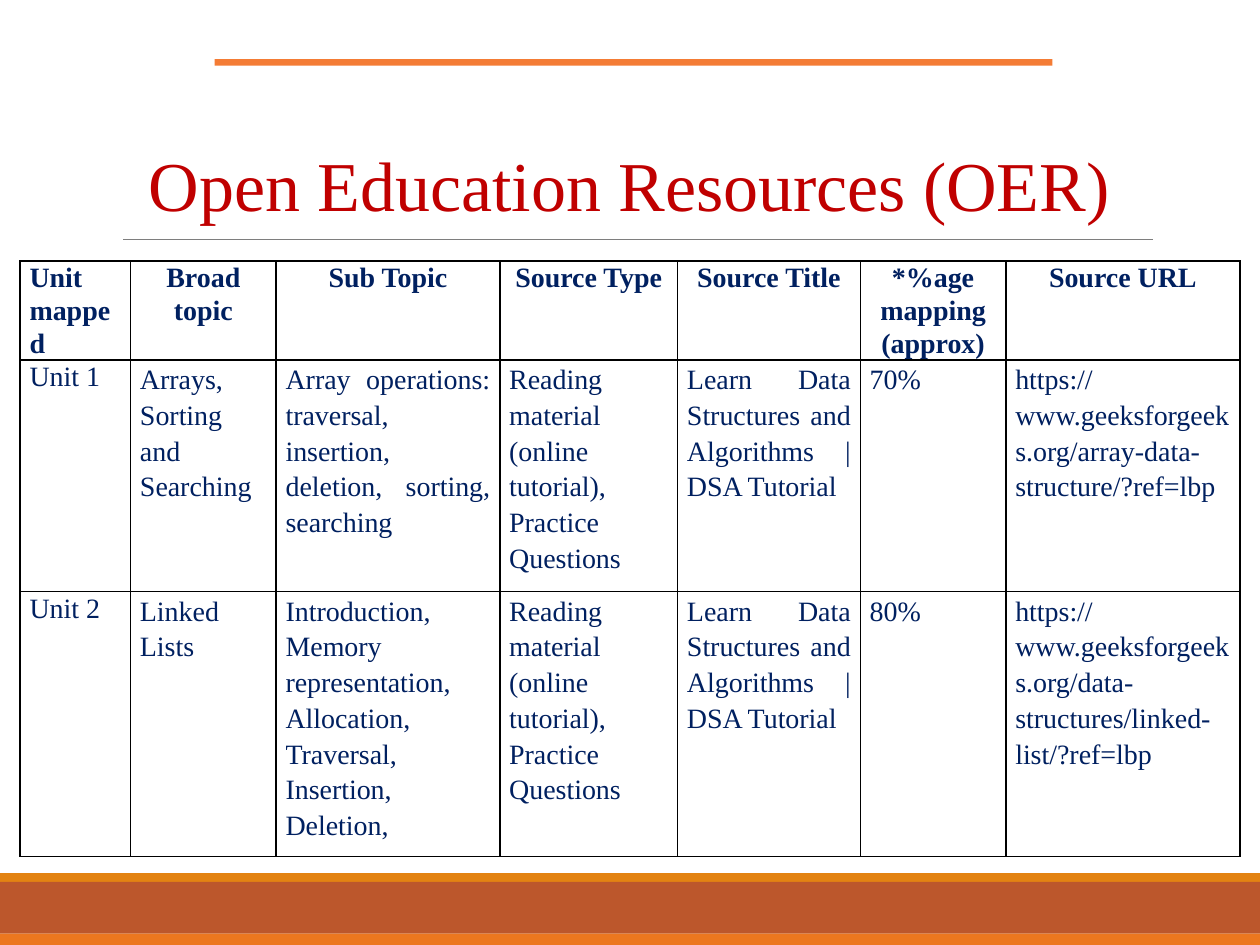
from dataclasses import dataclass

import lxml.etree
import pptx
import pptx.dml.color
import pptx.enum.shapes
import pptx.enum.text
import pptx.oxml.ns
import pptx.util

Pt = pptx.util.Pt
RGB = pptx.dml.color.RGBColor.from_string
qn = pptx.oxml.ns.qn
ALIGN = pptx.enum.text.PP_ALIGN
ANCHOR = pptx.enum.text.MSO_ANCHOR


@dataclass(frozen=True)
class Theme:
    font: str = "Times New Roman"
    title_size: float = 40
    table_size: float = 16
    title: str = "C00000"
    table: str = "002060"
    border: str = "000000"
    rule: str = "7E7E7E"
    accent: str = "F47C35"
    band_top: str = "E38312"
    band: str = "BC572C"
    band_bottom: str = "EC771F"


THEME = Theme()

COL_WIDTHS = [63.1, 83.2, 127.8, 101.6, 104.4, 83.2, 133.7]
ROW_HEIGHTS = [56.4, 132.3, 151.4]
READING = "Reading material (online tutorial), Practice Questions"
COURSE = "Learn Data Structures and Algorithms |DSA Tutorial"
ROWS = [
    ["Unit mapped", "Broad topic", "Sub Topic", "Source Type", "Source Title",
     "*%age mapping (approx)", "Source URL"],
    ["Unit 1 ", "Arrays, Sorting and Searching",
     "Array operations: traversal, insertion, deletion, sorting, searching",
     READING, COURSE, "70%",
     "https://www.geeksforgeeks.org/array-data-structure/?ref=lbp"],
    ["Unit 2", "Linked Lists",
     "Introduction, Memory representation, Allocation, Traversal, Insertion, Deletion,",
     READING, COURSE, "80%",
     "https://www.geeksforgeeks.org/data-structures/linked-list/?ref=lbp"],
]


def set_all(obj, values):
    for name, value in values.items():
        setattr(obj, name, value)


def write(tf, text, size, color, bold=False, **paragraph):
    p = tf.paragraphs[0]
    set_all(p, paragraph)
    r = p.add_run()
    r.text = text
    set_all(r.font, {"name": THEME.font, "size": Pt(size), "bold": bold})
    r.font.color.rgb = RGB(color)


def add_bar(s, left, top, width, height, color):
    sp = s.shapes.add_shape(pptx.enum.shapes.MSO_SHAPE.RECTANGLE,
                            Pt(left), Pt(top), Pt(width), Pt(height))
    sp.shadow.inherit = False
    sp.fill.solid()
    sp.fill.fore_color.rgb = RGB(color)
    sp.line.fill.background()


def add_rule(s, left, top, width):
    line = s.shapes.add_connector(pptx.enum.shapes.MSO_CONNECTOR.STRAIGHT,
                                  Pt(left), Pt(top), Pt(left + width), Pt(top))
    line.line.color.rgb = RGB(THEME.rule)
    line.line.width = Pt(0.5)
    lxml.etree.SubElement(line._element.spPr, qn("a:effectLst"))


def add_footer(s, left, top, width):
    """Stack the three footer bands downwards from top."""
    for height, color in [(5, THEME.band_top), (29.6, THEME.band), (6.4, THEME.band_bottom)]:
        add_bar(s, left, top, width, height, color)
        top += height


def add_title(s, left, top, width, height):
    title = s.shapes.title
    set_all(title, {"left": Pt(left), "top": Pt(top), "width": Pt(width), "height": Pt(height)})
    tf = title.text_frame
    set_all(tf, {"margin_left": 0, "margin_right": 0, "margin_top": 0, "margin_bottom": 0,
                 "word_wrap": True, "vertical_anchor": ANCHOR.BOTTOM,
                 "auto_size": pptx.enum.text.MSO_AUTO_SIZE.NONE})
    write(tf, "Open Education Resources (OER)", THEME.title_size, THEME.title,
          alignment=ALIGN.CENTER)


def set_borders(cell):
    tcPr = cell._tc.get_or_add_tcPr()
    for side in ("a:lnL", "a:lnR", "a:lnT", "a:lnB"):
        ln = lxml.etree.SubElement(tcPr, qn(side), w=str(Pt(1)))
        fill = lxml.etree.SubElement(ln, qn("a:solidFill"))
        lxml.etree.SubElement(fill, qn("a:srgbClr"), val=THEME.border)


def add_resources(s, left, top):
    frame = s.shapes.add_table(len(ROWS), len(COL_WIDTHS), Pt(left), Pt(top),
                               Pt(sum(COL_WIDTHS)), Pt(sum(ROW_HEIGHTS)))
    table = frame.table
    set_all(table, {"first_row": False, "horz_banding": False})
    for column, width in zip(table.columns, COL_WIDTHS):
        column.width = Pt(width)
    for row, height in zip(table.rows, ROW_HEIGHTS):
        row.height = Pt(height)
    for i, texts in enumerate(ROWS):
        for j, text in enumerate(texts):
            cell = table.cell(i, j)
            set_all(cell, {"margin_left": Pt(5.4), "margin_right": Pt(5.4),
                           "margin_top": 0, "margin_bottom": 0,
                           "vertical_anchor": ANCHOR.TOP})
            set_borders(cell)
            cell.fill.background()
            header, first = i == 0, j == 0
            write(cell.text_frame, text, THEME.table_size, THEME.table, bold=header,
                  alignment=ALIGN.CENTER if header and not first else ALIGN.JUSTIFY,
                  line_spacing=1.06 if header or first else 1.15,
                  space_after=Pt(10))


def main():
    prs = pptx.Presentation()
    set_all(prs, {"slide_width": Pt(720), "slide_height": Pt(540)})
    s = prs.slides.add_slide(prs.slide_layouts[5])
    add_footer(s, 0, 499, 720)
    add_rule(s, 70.4, 136.8, 588.6)
    add_bar(s, 122.6, 33.8, 478.8, 3.8, THEME.accent)
    add_title(s, 60.5, 80.6, 598.3, 48.2)
    add_resources(s, 11.5, 149.2)
    prs.save("out.pptx")


if __name__ == "__main__":
    main()
